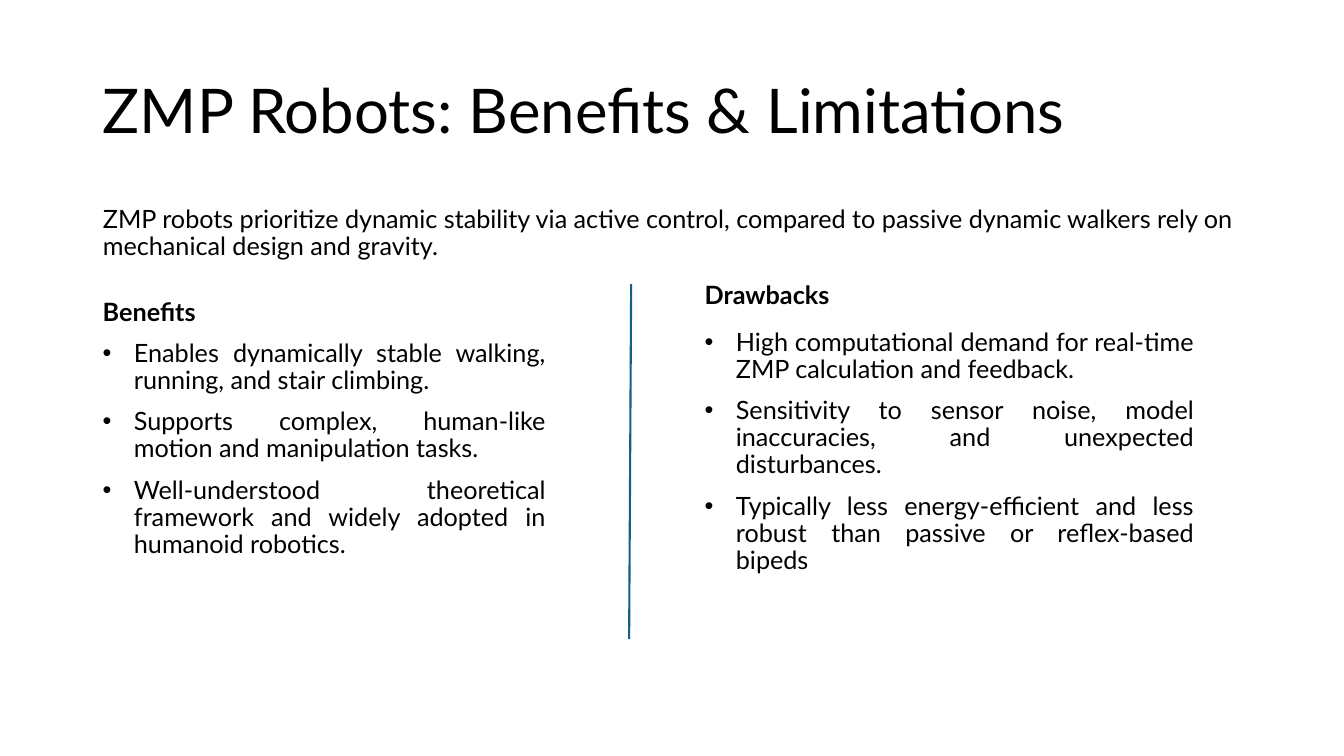
from lxml import etree
from pptx import Presentation
from pptx import util as u
from pptx.dml.color import RGBColor
from pptx.enum import shapes, text
from pptx.oxml.ns import qn

BLACK = RGBColor(0, 0, 0)
WHITE = RGBColor(255, 255, 255)
BLUE = RGBColor(0x15, 0x60, 0x82)


def place(shape, left, top, width, height, anchor):
    shape.left, shape.top = u.Inches(left), u.Inches(top)
    shape.width, shape.height = u.Inches(width), u.Inches(height)
    frame = shape.text_frame
    frame.word_wrap = True
    frame.auto_size = text.MSO_AUTO_SIZE.NONE
    frame.vertical_anchor = anchor
    return frame


def style(para, size, bold=False, before=0, align=text.PP_ALIGN.LEFT):
    para.alignment = align
    para.line_spacing = 0.9
    para.space_before = u.Pt(before)
    for run in para.runs:
        run.font.name = "Lato"
        run.font.size = u.Pt(size)
        run.font.bold = bold
        run.font.color.rgb = BLACK


deck = Presentation()
deck.slide_width, deck.slide_height = u.Inches(13.33), u.Inches(7.5)
slide = deck.slides.add_slide(deck.slide_layouts[1])
title, intro = slide.placeholders

frame = place(title, 0.92, 0.4, 11.5, 1.45, text.MSO_ANCHOR.MIDDLE)
frame.text = "ZMP Robots: Benefits & Limitations"
style(frame.paragraphs[0], 44)

frame = place(intro, 0.92, 2, 11.5, 2.13, text.MSO_ANCHOR.TOP)
frame.text = (
    "ZMP robots prioritize dynamic stability via active control, compared to "
    "passive dynamic walkers rely on mechanical design and gravity."
)
para = frame.paragraphs[0]
props = para._p.get_or_add_pPr()
props.set("marL", "0")
props.set("indent", "0")
etree.SubElement(props, qn("a:buNone"))
style(para, 18)

columns = [
    (0.92, 4.59, 2.7, "Benefits", [
        "Enables dynamically stable walking, running, and stair climbing.",
        "Supports complex, human-like motion and manipulation tasks.",
        "Well-understood theoretical framework and widely adopted in humanoid robotics.",
    ]),
    (6.89, 5.05, 2.98, "Drawbacks", [
        "High computational demand for real-time ZMP calculation and feedback.",
        "Sensitivity to sensor noise, model inaccuracies, and unexpected disturbances.",
        "Typically less energy-efficient and less robust than passive or reflex-based bipeds",
    ]),
]
heads = []
for left, width, height, name, points in columns:
    box = slide.shapes.add_shape(shapes.MSO_SHAPE.RECTANGLE, 0, 0, 0, 0)
    box.shadow.inherit = False
    box.fill.solid()
    box.fill.fore_color.rgb = WHITE
    box.line.color.rgb = WHITE
    box.line.width = u.Pt(1.5)
    frame = place(box, left, 2.92, width, height, text.MSO_ANCHOR.TOP)
    frame.text = name
    head = frame.paragraphs[0]
    style(head, 18, bold=True)
    heads.append(head)
    for point in points:
        para = frame.add_paragraph()
        para.text = point
        props = para._p.get_or_add_pPr()
        props.set("marL", str(u.Inches(0.31)))
        props.set("indent", str(-u.Inches(0.31)))
        etree.SubElement(props, qn("a:buFont")).set("typeface", "Arial")
        etree.SubElement(props, qn("a:buChar")).set("char", "•")
        style(para, 18, before=10, align=text.PP_ALIGN.JUSTIFY)

heads[1].line_spacing = u.Pt(7.6)
heads[1].space_after = u.Pt(3.8)

rule = slide.shapes.add_connector(
    shapes.MSO_CONNECTOR.STRAIGHT,
    u.Inches(6.26), u.Inches(2.82), u.Inches(6.24), u.Inches(6.34),
)
rule.line.color.rgb = BLUE
rule.line.width = u.Pt(1.5)
etree.SubElement(rule._element.spPr, qn("a:effectLst"))

deck.save("out.pptx")
